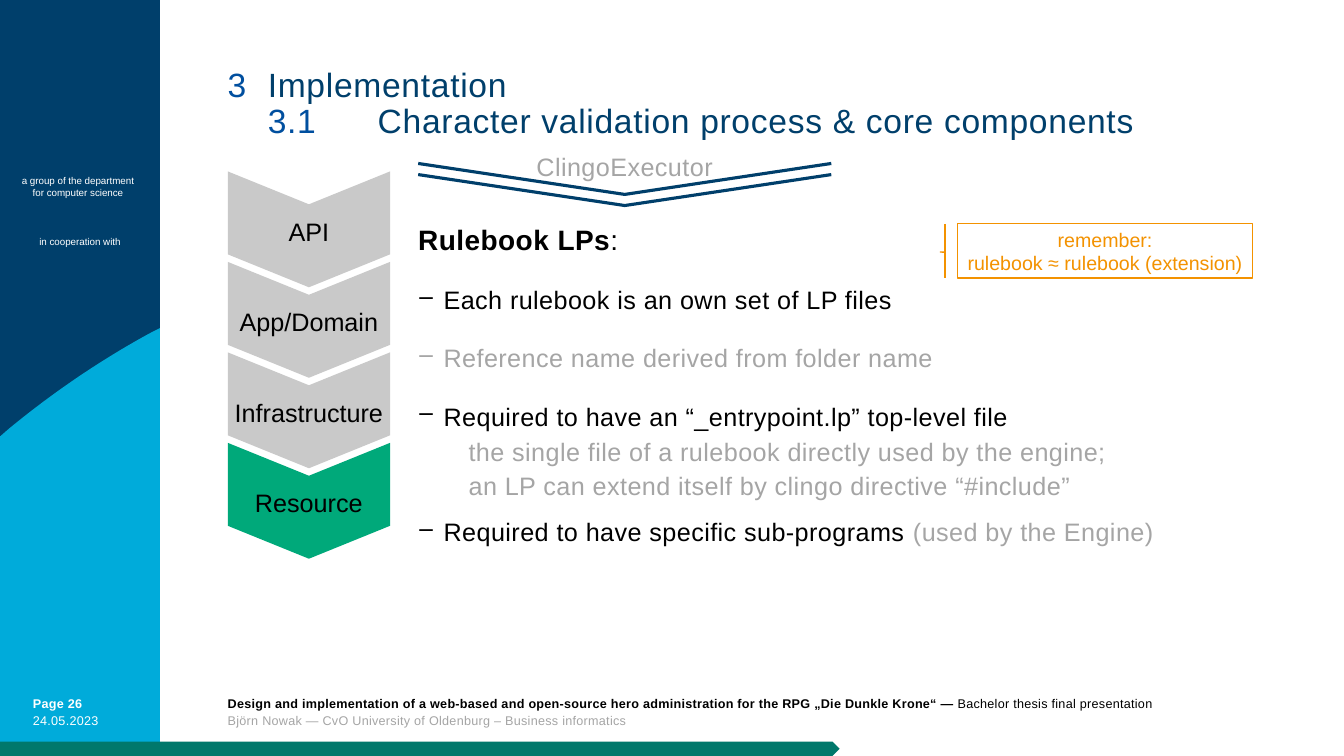
from lxml.etree import SubElement
from pptx import Presentation
from pptx.dml.color import RGBColor
from pptx.enum.shapes import MSO_SHAPE as Preset
from pptx.enum.text import MSO_ANCHOR as Anchor, PP_ALIGN as Align
from pptx.oxml.ns import qn
from pptx.util import Cm, Pt

NAVY, CYAN, BLUE, TEAL = "003F6B", "00ABDA", "004F9F", "00786B"
GREEN, ORANGE, SILVER, GRAY = "00A97A", "F39200", "C9C9C9", "A5A5A5"
BLACK, WHITE = "000000", "FFFFFF"


def color(hex_value):
    return RGBColor.from_string(hex_value)


def paint(shape, fill=None, line=None, width=1):
    shape.shadow.inherit = False
    if fill:
        shape.fill.solid()
        shape.fill.fore_color.rgb = color(fill)
    else:
        shape.fill.background()
    if line:
        shape.line.color.rgb = color(line)
        shape.line.width = Pt(width)
    else:
        shape.line.fill.background()


def add_preset(slide, preset, box, **look):
    shape = slide.shapes.add_shape(preset, *map(Cm, box))
    paint(shape, **look)
    return shape


def add_path(slide, points, close, **look):
    corners = [(Cm(x), Cm(y)) for x, y in points]
    builder = slide.shapes.build_freeform(*corners[0])
    builder.add_line_segments(corners[1:], close=close)
    paint(builder.convert_to_shape(), **look)


def write(frame, lines, size, align=Align.LEFT, spacing=None, tracking=0):
    frame.word_wrap = True
    frame.margin_left = frame.margin_right = frame.margin_top = frame.margin_bottom = 0
    for index, pieces in enumerate(lines):
        paragraph = frame.add_paragraph() if index else frame.paragraphs[0]
        paragraph.alignment = align
        if spacing:
            paragraph.line_spacing = spacing
        for words, ink, *bold in pieces:
            run = paragraph.add_run()
            run.text = words
            run.font.name = "Arial"
            run.font.size = Pt(size)
            run.font.bold = bool(bold)
            run.font.color.rgb = color(ink)
            if tracking:
                run.font._element.set("spc", str(tracking))
    return frame.paragraphs


def add_text(slide, box, lines, size, **style):
    frame = slide.shapes.add_textbox(*map(Cm, box)).text_frame
    return write(frame, lines, size, **style)


def bezier(points, steps=24):
    for step in range(steps + 1):
        t = step / steps
        weights = (1 - t) ** 3, 3 * t * (1 - t) ** 2, 3 * t * t * (1 - t), t ** 3
        yield tuple(sum(w * p[axis] for w, p in zip(weights, points)) for axis in (0, 1))


def sidebar(slide, box):
    x, y, width, height = box
    bottom = y + height
    add_preset(slide, Preset.RECTANGLE, box, fill=NAVY)
    arc = [(x + 0.23, y + 10.8), (x + 1.35, y + 9.88), (x + 2.54, y + 9.07), (x + 3.81, y + 8.38)]
    wave = [(x + width, y + 8.27), (x + width, bottom), (x, bottom), (x, y + 11), *bezier(arc)]
    add_path(slide, wave, True, fill=CYAN)
    add_text(slide, (x - 0.05, y + 4.4, width, 0.6),
             [[("a group of the department", WHITE)], [("for computer science", WHITE)]],
             7, align=Align.CENTER)
    add_text(slide, (x, y + 5.95, width, 0.3), [[("in cooperation with", WHITE)]],
             7, align=Align.CENTER)
    add_text(slide, (x + 0.83, bottom - 1.55, 2.9, 0.85),
             [[("Page 26", WHITE, True)], [("24.05.2023", WHITE)]],
             9, spacing=Pt(12), tracking=20)


def footer(slide, box):
    thesis = ("Design and implementation of a web-based and open-source hero administration "
              "for the RPG „Die Dunkle Krone“ — ")
    add_text(slide, box,
             [[(thesis, BLACK, True), ("Bachelor thesis final presentation", BLACK)],
              [("Björn Nowak — CvO University of Oldenburg – Business informatics", GRAY)]],
             9, spacing=Pt(12), tracking=20)


def title(slide, box):
    headings = [("3", "Implementation", 0, 1.01),
                ("3.1", "Character validation process & core components", 1.01, 2.77)]
    lines = [[(number + "\t", BLUE), (words, NAVY)] for number, words, _, _ in headings]
    paragraphs = add_text(slide, box, lines, 24, spacing=0.9, tracking=50)
    for paragraph, (_, _, indent, stop) in zip(paragraphs, headings):
        properties = paragraph._p.get_or_add_pPr()
        properties.set("marL", str(Cm(indent)))
        tabs = SubElement(properties, qn("a:tabLst"))
        SubElement(tabs, qn("a:tab"), pos=str(Cm(stop)), algn="l")


def layers(slide, box):
    x, y, width, height = box
    names = ["API", "App/Domain", "Infrastructure", "Resource"]
    depth = 2.92
    pitch = (height - depth) / (len(names) - 1)
    for index, name in enumerate(names):
        middle = y + depth / 2 + index * pitch
        chevron = add_preset(slide, Preset.CHEVRON,
                             (x + (width - depth) / 2, middle - width / 2, depth, width),
                             fill=GREEN if name == "Resource" else SILVER)
        chevron.rotation = 90
        chevron.adjustments[0] = 0.284
        add_text(slide, (x - 0.1, middle - 0.33, width + 0.2, 0.76), [[(name, BLACK)]],
                 18, align=Align.CENTER)


def executor(slide, box):
    x, y, width, height = box
    for top in (y + 0.31, y + 0.59):
        add_path(slide, [(x, top), (x + width / 2, top + 0.78), (x + width, top)],
                 False, line=NAVY, width=2.25)
    add_text(slide, box, [[("ClingoExecutor", GRAY)]], 18, align=Align.CENTER, tracking=30)


def rulebooks(slide, box):
    x, y, width, height = box
    add_text(slide, (x, y, width, 0.9), [[("Rulebook LPs", BLACK, True), (":", BLACK)]],
             20, spacing=1.1, tracking=30)
    bullets = [[("Each rulebook is an own set of LP files", BLACK)],
               [("Reference name derived from folder name", GRAY)],
               [("Required to have an “_entrypoint.lp” top-level file", BLACK)],
               [("Required to have specific sub-programs ", BLACK), ("(used by the Engine)", GRAY)]]
    gaps = [18, 18, 59, 0]
    paragraphs = add_text(slide, (x, y + 1.55, width, height - 1.55), bullets,
                          18, spacing=1.1, tracking=30)
    for paragraph, gap in zip(paragraphs, gaps):
        paragraph.space_after = Pt(gap)
        properties = paragraph._p.get_or_add_pPr()
        properties.set("marL", str(Cm(0.64)))
        properties.set("indent", str(-Cm(0.64)))
        SubElement(properties, qn("a:buChar"), char="‒")
    add_text(slide, (x + 1.27, y + 5.4, 16.94, 1.9),
             [[("the single file of a rulebook directly used by the engine;", GRAY)],
              [("an LP can extend itself by clingo directive “#include”", GRAY)]],
             18, spacing=1.1, tracking=30)


def reminder(slide, box):
    callout = add_preset(slide, Preset.LINE_CALLOUT_2_BORDER_AND_ACCENT_BAR, box, line=ORANGE)
    for index, value in enumerate([0.525, -0.042, 0.521, -0.043, 0.52, -0.06]):
        callout.adjustments[index] = value
    callout.text_frame.vertical_anchor = Anchor.MIDDLE
    write(callout.text_frame,
          [[("remember:", ORANGE)], [("rulebook ≈ rulebook (extension)", ORANGE)]],
          14, align=Align.CENTER)


def main():
    deck = Presentation()
    deck.slide_width, deck.slide_height = Cm(33.87), Cm(19.05)
    slide = deck.slides.add_slide(deck.slide_layouts[6])
    sidebar(slide, (0, 0, 4.03, 19.05))
    footer(slide, (5.74, 17.5, 23.9, 1.02))
    layers(slide, (5.74, 4.32, 4.09, 9.76))
    rulebooks(slide, (10.54, 5.53, 21.59, 9))
    title(slide, (5.74, 1.73, 23.9, 2.11))
    executor(slide, (10.54, 3.81, 10.41, 0.81))
    reminder(slide, (24.13, 5.64, 7.44, 1.37))
    add_preset(slide, Preset.PENTAGON, (0, 18.69, 21.16, 0.36), fill=TEAL)
    deck.save("out.pptx")


if __name__ == "__main__":
    main()
